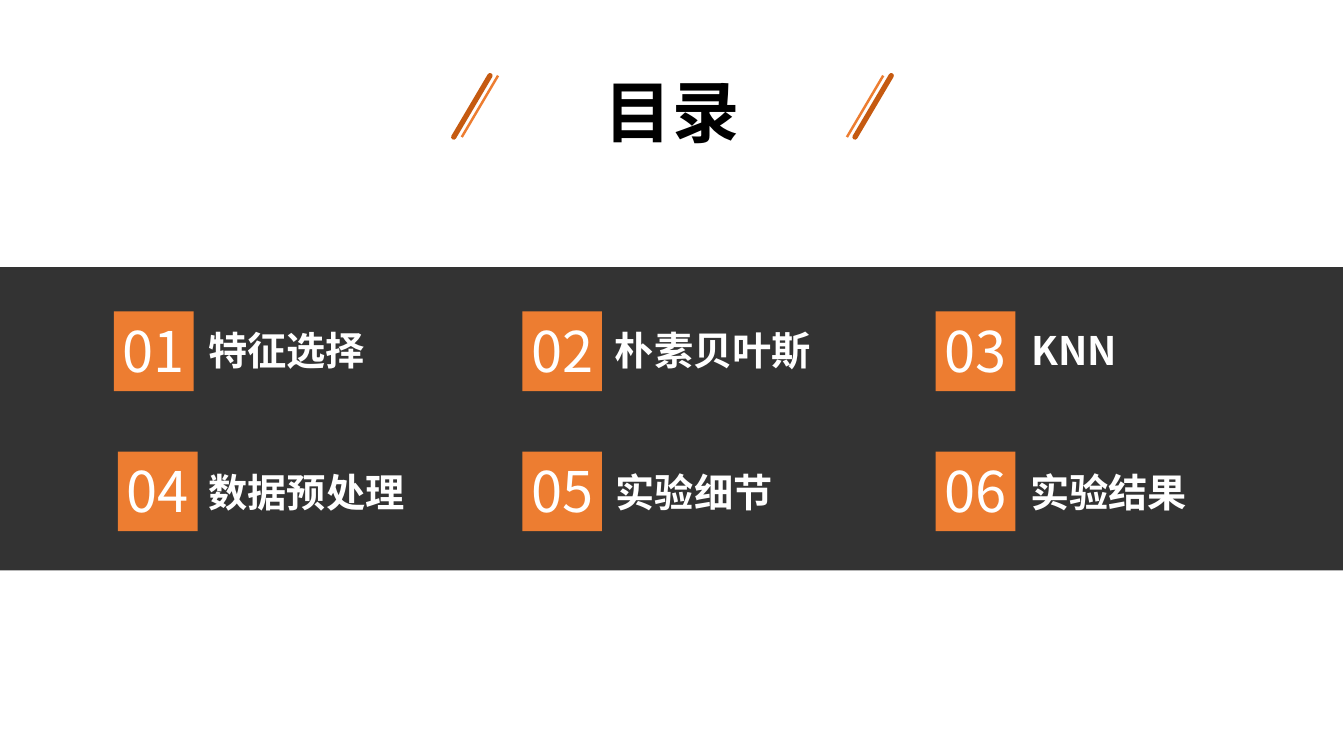
from lxml.etree import SubElement
from pptx import Presentation
from pptx.dml.color import RGBColor
from pptx.enum.shapes import MSO_CONNECTOR as Connector, MSO_SHAPE as Shape
from pptx.enum.text import MSO_ANCHOR as Anchor, MSO_AUTO_SIZE as AutoSize, PP_ALIGN as Align
from pptx.oxml.ns import qn
from pptx.util import Emu, Pt

PX_PER_INCH = 100
FONT = "Noto Sans CJK SC"
COLORS = {"black": "000000", "white": "FFFFFF", "orange": "ED7D31", "rust": "C55A11"}
TILE = 79
NUMBER_WIDTH = 95
ROWS = [(309, 319), (448, 459)]
TOPICS = [
    ("特征选择", 0, 113, 197, 266),
    ("朴素贝叶斯", 0, 518, 600, 368),
    ("KNN", 0, 928, 1013, 404),
    ("数据预处理", 1, 117, 197, 325),
    ("实验细节", 1, 518, 601, 324),
    ("实验结果", 1, 928, 1012, 269),
]


def px(length):
    """Convert a length in px to EMU."""
    return Emu(round(length * 914400 / PX_PER_INCH))


def rgb(name):
    """Return the named colour."""
    return RGBColor.from_string(COLORS[name])


def add_text(shapes, text, box, size, color="white", bold=False,
             align=Align.LEFT, anchor=Anchor.MIDDLE, wrap=True):
    """Add a one-line text box."""
    frame = shapes.add_textbox(*map(px, box)).text_frame
    frame.word_wrap = wrap
    frame.auto_size = AutoSize.SHAPE_TO_FIT_TEXT
    frame.vertical_anchor = anchor
    line = frame.paragraphs[0]
    line.alignment = align
    run = line.add_run()
    run.text = text
    run.font.size = Pt(size)
    run.font.bold = bold
    run.font.name = FONT
    run.font.color.rgb = rgb(color)
    SubElement(run.font._element, qn("a:ea"), typeface=FONT)


def add_block(shapes, box, color, opacity=100):
    """Add a borderless rectangle with the given opacity in percent."""
    block = shapes.add_shape(Shape.RECTANGLE, *map(px, box))
    block.shadow.inherit = False
    block.line.fill.background()
    block.fill.solid()
    block.fill.fore_color.rgb = rgb(color)
    if opacity < 100:
        tint = block.element.spPr.find(qn("a:solidFill")).find(qn("a:srgbClr"))
        SubElement(tint, qn("a:alpha"), val=str(opacity * 1000))


def add_slash(shapes, right, color, width, cap="flat"):
    """Add a slanted stroke beside the title."""
    slash = shapes.add_connector(Connector.STRAIGHT, px(right), px(75), px(right - 36), px(136))
    slash.line.color.rgb = rgb(color)
    slash.line.width = Pt(width)
    properties = slash.element.spPr
    properties.find(qn("a:ln")).set("cap", cap)
    SubElement(properties, qn("a:effectLst"))


def add_topic(shapes, number, title, row, tile_left, title_left, title_width):
    """Add a numbered tile and its topic title."""
    tile_top, title_top = ROWS[row]
    add_text(shapes, title, (title_left, title_top, title_width, 57), 28, bold=True)
    badge = shapes.add_group_shape().shapes
    add_block(badge, (tile_left, tile_top, TILE, TILE), "orange")
    number_left = tile_left - (NUMBER_WIDTH - TILE) // 2
    add_text(badge, f"{number:02}", (number_left, tile_top, NUMBER_WIDTH, 77), 40,
             align=Align.CENTER)


def main():
    """Build the contents slide."""
    deck = Presentation()
    deck.slide_width, deck.slide_height = px(1333), px(750)
    shapes = deck.slides.add_slide(deck.slide_layouts[6]).shapes
    add_block(shapes, (-6, 265, 1338, 301), "black", opacity=80)
    add_text(shapes, "目录", (589, 65, 155, 91), 48, color="black", bold=True,
             align=Align.CENTER, anchor=Anchor.TOP, wrap=False)
    for right in (494, 876):
        add_slash(shapes, right, "orange", 1.75)
    for right in (884, 486):
        add_slash(shapes, right, "rust", 3.75, cap="rnd")
    for number, topic in enumerate(TOPICS, start=1):
        add_topic(shapes, number, *topic)
    deck.save("out.pptx")


if __name__ == "__main__":
    main()
